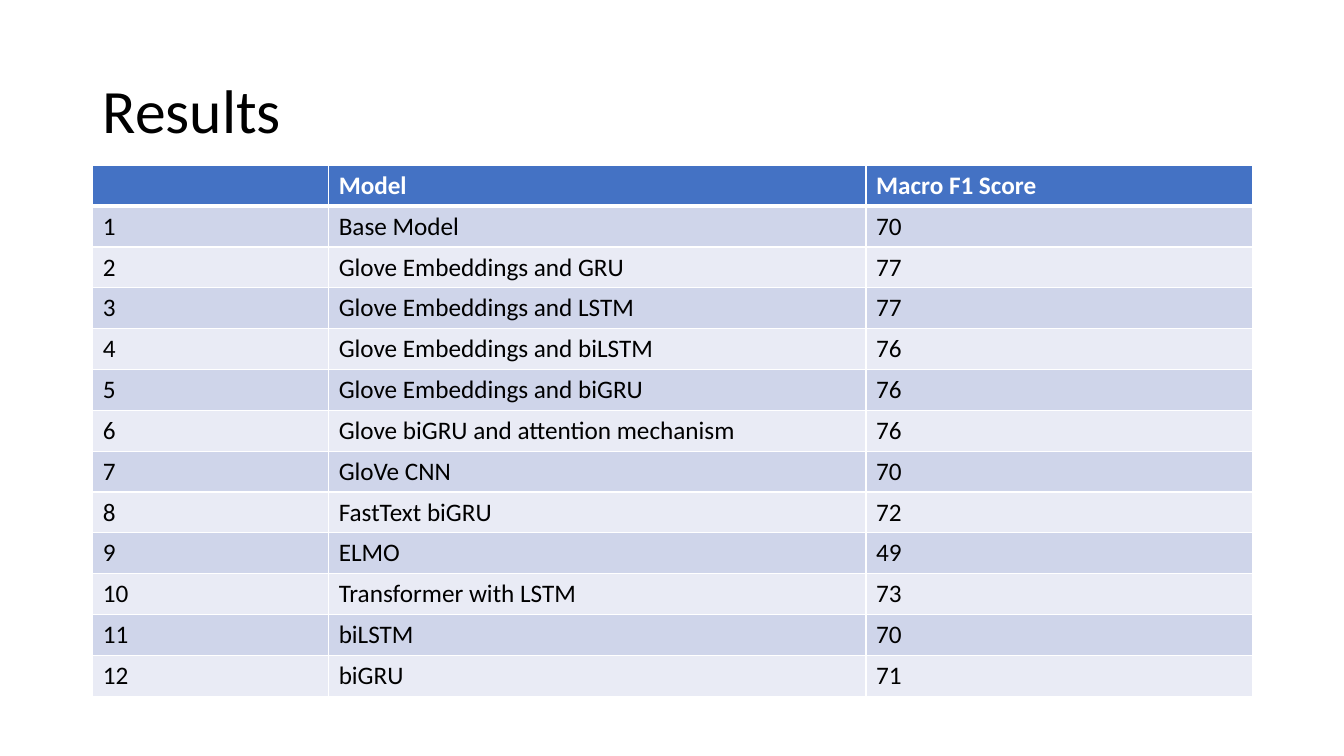
from lxml import etree
from pptx import Presentation
from pptx import util as u
from pptx.dml.color import RGBColor
from pptx.enum import text
from pptx.oxml.ns import qn

WHITE = RGBColor(0xFF, 0xFF, 0xFF)
BLACK = RGBColor(0x00, 0x00, 0x00)
HEADER = RGBColor(0x44, 0x72, 0xC4)
BANDS = [RGBColor(0xE9, 0xEB, 0xF5), RGBColor(0xCF, 0xD5, 0xEA)]
FONT = "Calibri"

LEFT, WIDTH = u.Inches(0.92), u.Inches(11.5)
TABLE_TOP, TABLE_HEIGHT = u.Inches(1.64), u.Inches(5.27)
COLUMNS = [2.34, 5.33, 3.83]
RULE, HEADER_RULE = 1, 3

RESULTS = [
    ("Base Model", 70),
    ("Glove Embeddings and GRU", 77),
    ("Glove Embeddings and LSTM", 77),
    ("Glove Embeddings and biLSTM", 76),
    ("Glove Embeddings and biGRU", 76),
    ("Glove biGRU and attention mechanism", 76),
    ("GloVe CNN", 70),
    ("FastText biGRU", 72),
    ("ELMO", 49),
    ("Transformer with LSTM", 73),
    ("biLSTM", 70),
    ("biGRU", 71),
]


def add_run(p, words, size, color, bold=False):
    """Append one formatted run to a paragraph."""
    r = p.add_run()
    r.text = words
    r.font.name, r.font.size, r.font.bold = FONT, u.Pt(size), bold
    r.font.color.rgb = color


def add_border(cell, side, points):
    """Draw a solid white border on one side (L, R, T or B) of a cell."""
    ln = etree.SubElement(cell._tc.get_or_add_tcPr(), qn("a:ln" + side), w=str(u.Pt(points)))
    fill = etree.SubElement(ln, qn("a:solidFill"))
    etree.SubElement(fill, qn("a:srgbClr"), val=str(WHITE))


prs = Presentation()
prs.slide_width, prs.slide_height = u.Inches(13.33), u.Inches(7.5)
s = prs.slides.add_slide(prs.slide_layouts[6])

# Title
sp = s.shapes.add_textbox(LEFT, u.Inches(0.4), WIDTH, u.Inches(1.45))
tf = sp.text_frame
tf.word_wrap = True
tf.vertical_anchor = text.MSO_ANCHOR.MIDDLE
p = tf.paragraphs[0]
p.line_spacing = 0.9
add_run(p, "Results", 44, BLACK)

# Results table
rows = [("", "Model", "Macro F1 Score")]
rows += [(str(i), model, str(score)) for i, (model, score) in enumerate(RESULTS, 1)]
table = s.shapes.add_table(len(rows), len(COLUMNS), LEFT, TABLE_TOP, WIDTH, TABLE_HEIGHT).table
for column, width in zip(table.columns, COLUMNS):
    column.width = u.Inches(width)

for i, row in enumerate(rows):
    is_header = i == 0
    table.rows[i].height = TABLE_HEIGHT // len(rows)
    for j, words in enumerate(row):
        cell = table.cell(i, j)
        add_border(cell, "L", RULE)
        add_border(cell, "R", RULE)
        add_border(cell, "T", HEADER_RULE if i == 1 else RULE)
        add_border(cell, "B", HEADER_RULE if is_header else RULE)
        cell.fill.solid()
        cell.fill.fore_color.rgb = HEADER if is_header else BANDS[i % 2]
        if words:
            add_run(cell.text_frame.paragraphs[0], words, 18, WHITE if is_header else BLACK, is_header)

prs.save("out.pptx")
